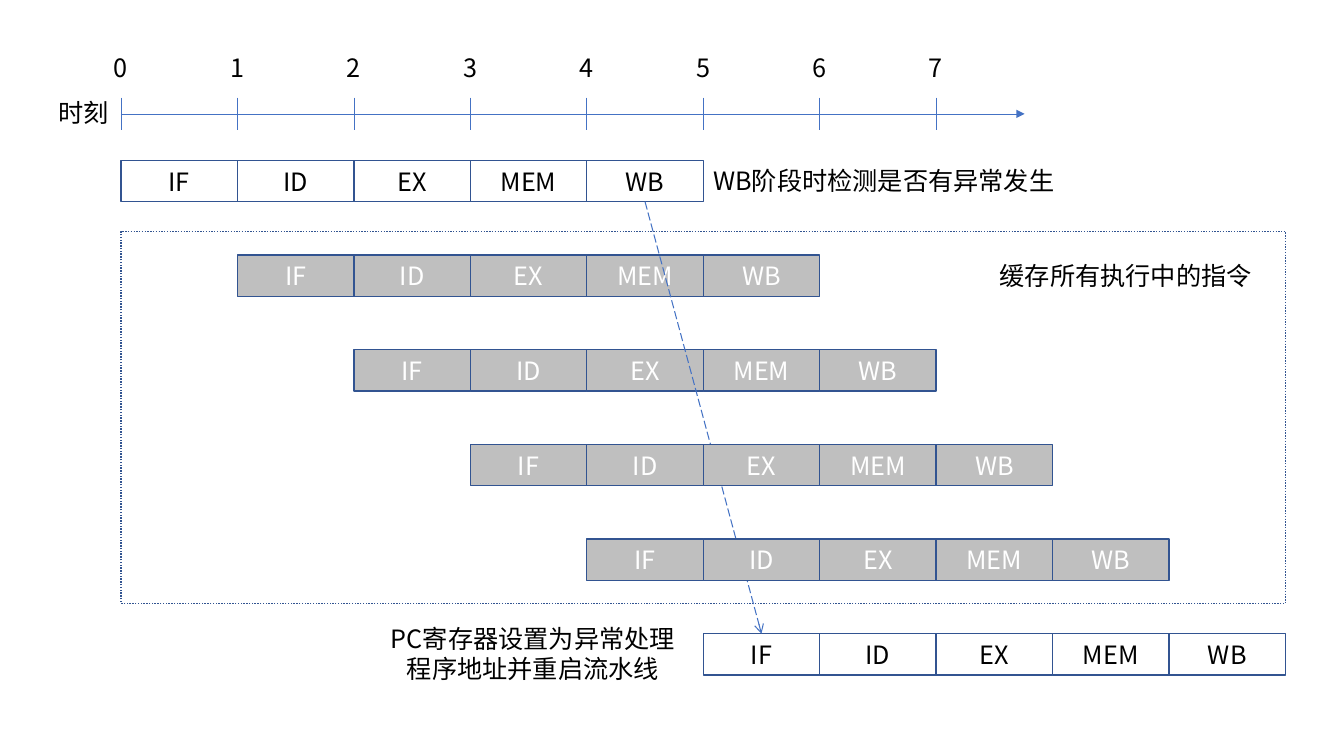
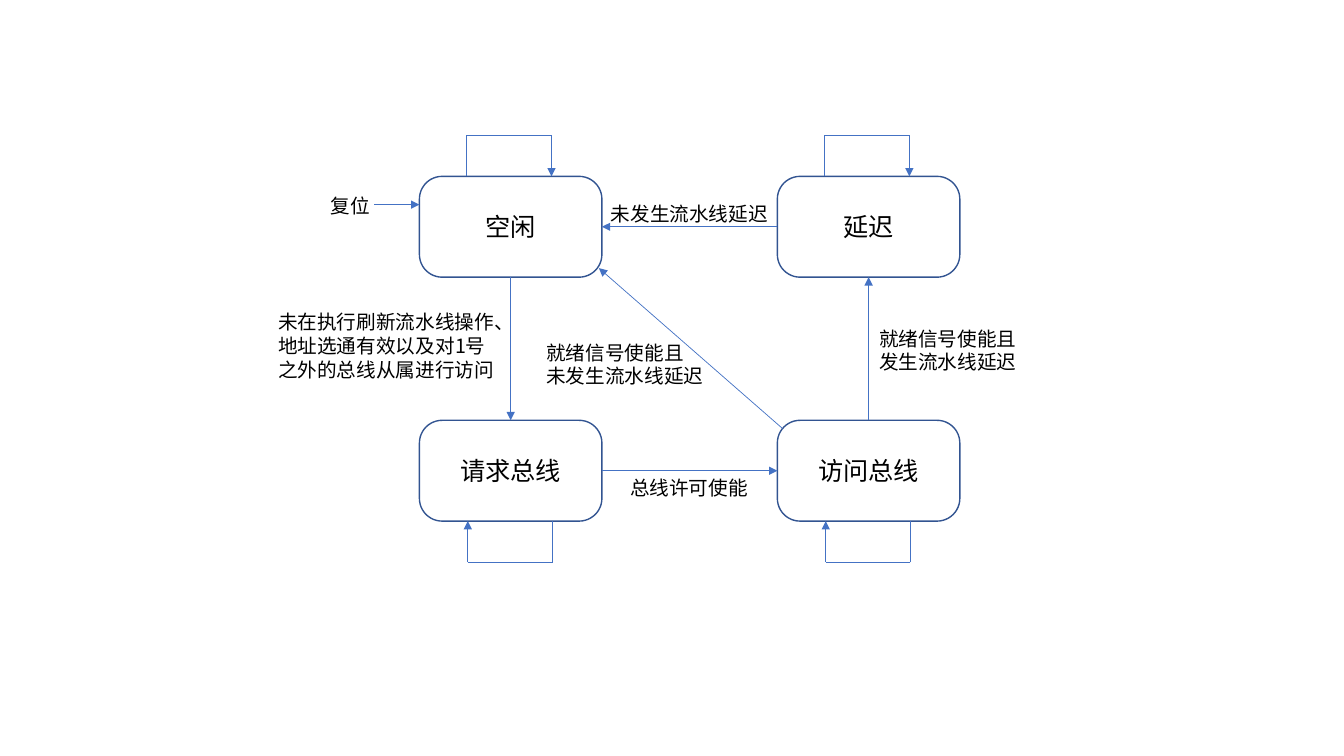
import pptx
import pptx.util
import pptx.dml.color
import pptx.enum.dml
import pptx.enum.shapes
import pptx.enum.text
import pptx.oxml.ns
import lxml.etree

INK = {"text": "000000", "pale": "FFFFFF", "gray": "BFBFBF", "edge": "325491", "line": "4472C4"}
FONT = "Noto Sans CJK SC"
WIDE, HIGH = 13.33, 7.5
STAGES = ("IF", "ID", "EX", "MEM", "WB")
TOP, LEFT, BASE, RIGHT = range(4)
Inch = pptx.util.Inches
Dash = pptx.enum.dml.MSO_LINE
Kind = pptx.enum.shapes.MSO_SHAPE
Align = pptx.enum.text.PP_ALIGN


def color(name):
    return pptx.dml.color.RGBColor.from_string(INK[name])


def child(parent, tag, **attrs):
    return lxml.etree.SubElement(parent, pptx.oxml.ns.qn(tag), **attrs)


def write(frame, words, size=18, ink="text", align=Align.LEFT):
    for i, part in enumerate(words.split("\n")):
        para = frame.paragraphs[0] if i == 0 else frame.add_paragraph()
        para.alignment = align
        run = para.add_run()
        run.text = part
        run.font.size = pptx.util.Pt(size)
        run.font.color.rgb = color(ink)
        run.font.name = FONT
        child(run._r.get_or_add_rPr(), "a:ea", typeface=FONT)


def label(slide, box, words, wrap=False, **style):
    frame = slide.shapes.add_textbox(*map(Inch, box)).text_frame
    frame.word_wrap = wrap
    frame.auto_size = pptx.enum.text.MSO_AUTO_SIZE.SHAPE_TO_FIT_TEXT
    write(frame, words, **style)


def block(slide, box, words="", kind=Kind.RECTANGLE, fill=None, dash=None, ink="text"):
    shape = slide.shapes.add_shape(kind, *map(Inch, box))
    shape.shadow.inherit = False
    if fill:
        shape.fill.solid()
        shape.fill.fore_color.rgb = color(fill)
    else:
        shape.fill.background()
    shape.line.color.rgb = color("edge")
    shape.line.width = pptx.util.Pt(1)
    if dash:
        shape.line.dash_style = dash
    if words:
        shape.text_frame.vertical_anchor = pptx.enum.text.MSO_ANCHOR.MIDDLE
        write(shape.text_frame, words, ink=ink, align=Align.CENTER)
    return shape


def line(slide, start, end, width=0.5, dash=None, tip=None):
    link = slide.shapes.add_connector(
        pptx.enum.shapes.MSO_CONNECTOR.STRAIGHT, *map(Inch, (*start, *end)))
    link.line.color.rgb = color("line")
    link.line.width = pptx.util.Pt(width)
    if dash:
        link.line.dash_style = dash
    props = link._element.spPr
    if tip:
        child(props.get_or_add_ln(), "a:tailEnd", type=tip)
    child(props, "a:effectLst")
    return link


def join(slide, first, side, last, face, tip="triangle", **style):
    link = line(slide, (0, 0), (0, 0), tip=tip, **style)
    link.begin_connect(first, side)
    link.end_connect(last, face)


def axis(slide, x, y, col):
    for i in range(8):
        at = x + i * col
        line(slide, (at, y - 0.16), (at, y + 0.16))
        label(slide, (at - 0.17, y - 0.66, 0.34, 0.4), str(i))
    line(slide, (x, y), (x + 7.76 * col, y), tip="triangle")
    label(slide, (x - 0.72, y - 0.21, 0.71, 0.4), "时刻")


def pipeline(slide, x, y, w, h):
    col, row = w / 10, h / 5.44

    def stages(i, **style):
        return [block(slide, (x + (i + j) * col, y + i * row, col, 0.41), name, **style)
                for j, name in enumerate(STAGES)]

    axis(slide, x, y - 0.46, col)
    first, last = stages(0), stages(5)
    held = {"fill": "gray", "ink": "pale"}
    for i in (1, 2):
        stages(i, **held)
    join(slide, first[-1], BASE, last[0], TOP, tip="arrow", width=0.75, dash=Dash.LONG_DASH)
    for i in (3, 4):
        stages(i, **held)
    block(slide, (x, y + 0.75 * row, w, 3.93 * row), dash=Dash.ROUND_DOT)
    label(slide, (x + 5 * col, y, 3.6, 0.4), "WB阶段时检测是否有异常发生", wrap=True)
    label(slide, (x + 7.46 * col, y + row, 2.73, 0.4), "缓存所有执行中的指令")
    label(slide, (x + 2.23 * col, y + 4.84 * row, 3.02, 0.71),
          "PC寄存器设置为异常处理\n程序地址并重启流水线", wrap=True, align=Align.CENTER)


def loop(slide, x, y, rise, start, end):
    points = [(x + start, y), (x + start, y + rise), (x + end, y + rise), (x + end, y)]
    for i, tip in enumerate((None, None, "triangle")):
        line(slide, points[i], points[i + 1], tip=tip)


def states(slide, x, y, w, h):
    wide, high = 1.81, 1
    right, low = x + w - wide, y + h - high

    def node(left, top, words):
        shape = block(slide, (left, top, wide, high), words,
                      kind=Kind.ROUNDED_RECTANGLE, fill="pale")
        shape.adjustments[0] = 0.225
        return shape

    idle = node(x, y, "空闲")
    delay = node(right, y, "延迟")
    access = node(right, low, "访问总线")
    request = node(x, low, "请求总线")

    for first, side, last, face in (
            (delay, LEFT, idle, RIGHT), (access, TOP, delay, BASE),
            (request, RIGHT, access, LEFT), (idle, BASE, request, TOP)):
        join(slide, first, side, last, face)
    line(slide, (right + 0.05, low + 0.08), (x + wide - 0.03, y + high - 0.09), tip="triangle")
    line(slide, (x - 0.45, y + 0.28), (x, y + 0.28), tip="triangle")

    for left in (x, right):
        loop(slide, left, y, -0.41, 0.47, 1.31)
        loop(slide, left, low + high, 0.41, 1.32, 0.48)

    for dx, dy, tw, th, words in (
            (1.99, 2.92, 1.38, 0.34, "总线许可使能"),
            (1.8, 0.2, 1.77, 0.34, "未发生流水线延迟"),
            (-0.98, 0.12, 0.59, 0.34, "复位"),
            (-1.5, 1.28, 2.56, 0.81,
             "未在执行刷新流水线操作、\n地址选通有效以及对1号\n之外的总线从属进行访问"),
            (4.46, 1.44, 1.58, 0.57, "就绪信号使能且\n发生流水线延迟"),
            (1.16, 1.58, 1.77, 0.57, "就绪信号使能且\n未发生流水线延迟")):
        label(slide, (x + dx, y + dy, tw, th), words, size=14)


def main():
    deck = pptx.Presentation()
    deck.slide_width, deck.slide_height = Inch(WIDE), Inch(HIGH)
    for draw, box in ((pipeline, (1.2, 1.59, 11.55, 5.11)),
                      (states, (4.16, 1.75, 5.36, 3.42))):
        draw(deck.slides.add_slide(deck.slide_layouts[6]), *box)
    deck.save("out.pptx")


if __name__ == "__main__":
    main()
